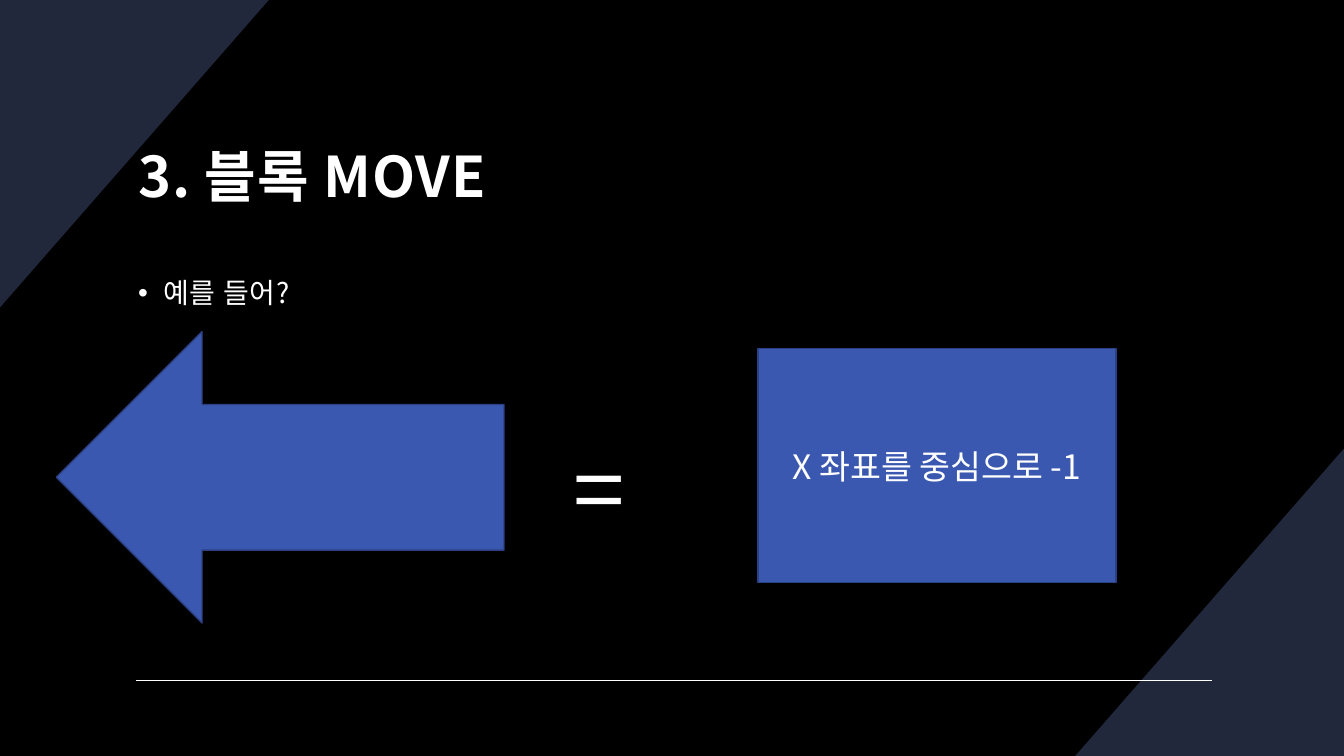
from lxml import etree
from pptx import Presentation
from pptx.dml.color import RGBColor
from pptx.enum.shapes import MSO_CONNECTOR, MSO_SHAPE
from pptx.enum.text import MSO_ANCHOR, MSO_AUTO_SIZE, PP_ALIGN
from pptx.oxml.ns import qn
from pptx.util import Inches, Pt

LEFT, CENTER = PP_ALIGN.LEFT, PP_ALIGN.CENTER
TOP, MIDDLE = MSO_ANCHOR.TOP, MSO_ANCHOR.MIDDLE
NO_AUTOFIT = MSO_AUTO_SIZE.NONE
LEFT_ARROW, RECTANGLE = MSO_SHAPE.LEFT_ARROW, MSO_SHAPE.RECTANGLE
STRAIGHT = MSO_CONNECTOR.STRAIGHT
FONT = "Noto Sans CJK KR"
COLORS = {"back": "000000", "corner": "22283C", "block": "3B58B1",
          "edge": "2C4183", "text": "FFFFFF"}
UNIT = Inches(1) / 12
COLUMNS, ROWS = 160, 90
CORNER_COLUMNS, CORNER_ROWS = 32, 36.6


def color(name):
    """Return a named colour."""
    return RGBColor.from_string(COLORS[name])


def grid(*cells):
    """Turn grid columns and rows into lengths."""
    return [round(cell * UNIT) for cell in cells]


def place(shape, *cells):
    """Move a shape to its left, top, width and height on the grid."""
    shape.left, shape.top, shape.width, shape.height = grid(*cells)


def set_frame(box, anchor):
    """Set margins, wrapping and anchor of a text box."""
    frame = box.text_frame
    frame.word_wrap = True
    frame.auto_size = NO_AUTOFIT
    frame.vertical_anchor = anchor
    frame.margin_left = frame.margin_right = frame.margin_top = Inches(0.12)
    frame.margin_bottom = Inches(0.1)


def set_indent(para, margin, first=0, bullet=None):
    """Set the indent of a paragraph and its bullet, if any."""
    properties = para._p.get_or_add_pPr()
    properties.set("marL", str(Inches(margin)))
    properties.set("indent", str(Inches(first)))
    if bullet:
        etree.SubElement(properties, qn("a:buChar")).set("char", bullet)


def add_span(para, text, size, bold=False, spacing=0):
    """Add one formatted run."""
    span = para.add_run()
    span.text = text
    font = span.font
    font.size, font.bold, font.name = Pt(size), bold, FONT
    font.color.rgb = color("text")
    properties = font._element
    properties.set("spc", str(spacing))
    etree.SubElement(properties, qn("a:ea")).set("typeface", FONT)


def write(box, text, size, align=LEFT, line=1.0, **style):
    """Write the single paragraph of a box."""
    para = box.text_frame.paragraphs[0]
    para.alignment = align
    para.line_spacing = line
    para.space_before = Pt(0)
    add_span(para, text, size, **style)


def add_corner(page, *points):
    """Draw a corner triangle through three grid points."""
    start, *others = [grid(*point) for point in points]
    builder = page.shapes.build_freeform(*start)
    builder.add_line_segments(others, close=True)
    corner = builder.convert_to_shape()
    corner.shadow.inherit = False
    corner.fill.solid()
    corner.fill.fore_color.rgb = color("corner")
    corner.line.fill.background()


def add_rule(page, left, right, row):
    """Draw a horizontal rule."""
    rule = page.shapes.add_connector(STRAIGHT, *grid(left, row, right, row))
    rule.line.color.rgb = color("text")
    rule.line.width = Pt(1)
    etree.SubElement(rule._element.spPr, qn("a:effectLst"))


def add_block(page, kind, *cells):
    """Draw a filled block."""
    block = page.shapes.add_shape(kind, *grid(*cells))
    block.shadow.inherit = False
    block.fill.solid()
    block.fill.fore_color.rgb = color("block")
    block.line.color.rgb = color("edge")
    block.line.width = Pt(1)
    return block


def add_heading(page):
    """Fill the title and body placeholders, in front of the corners."""
    title, body = page.shapes.title, page.placeholders[1]
    for box in (title, body):
        page.shapes._spTree.append(box._element)
    place(title, 15, 11.4, 130, 17.88)
    set_frame(title, MIDDLE)
    write(title, "3. 블록 MOVE", 40, line=1.1, bold=True, spacing=70)
    place(body, 15, 30.6, 130, 6.72)
    set_frame(body, TOP)
    set_indent(body.text_frame.paragraphs[0], 0.25, -0.25, "•")
    write(body, "예를 들어?", 20, line=1.2, spacing=50)


def add_equation(page):
    """Draw the arrow, the equals sign and the meaning of the move."""
    add_block(page, LEFT_ARROW, 6.72, 39.48, 53.28, 34.68)
    equals = page.shapes.add_textbox(*grid(61.8, 47.4, 24.84, 18))
    set_frame(equals, TOP)
    set_indent(equals.text_frame.paragraphs[0], 0.42)
    write(equals, "=", 66, line=1.2, spacing=50)
    meaning = add_block(page, RECTANGLE, 90.24, 41.52, 42.6, 27.84)
    meaning.text_frame.word_wrap = True
    meaning.text_frame.vertical_anchor = MIDDLE
    write(meaning, "X 좌표를 중심으로 -1", 24, align=CENTER)


def main():
    """Build the slide and save it."""
    deck = Presentation()
    deck.slide_width, deck.slide_height = grid(COLUMNS, ROWS)
    page = deck.slides.add_slide(deck.slide_layouts[1])
    page.background.fill.solid()
    page.background.fill.fore_color.rgb = color("back")
    add_corner(page, (COLUMNS, ROWS - CORNER_ROWS), (COLUMNS, ROWS),
               (COLUMNS - CORNER_COLUMNS, ROWS))
    add_corner(page, (0, CORNER_ROWS), (0, 0), (CORNER_COLUMNS, 0))
    add_rule(page, 16.2, 144.24, 81)
    add_heading(page)
    add_equation(page)
    deck.save("out.pptx")


if __name__ == "__main__":
    main()
